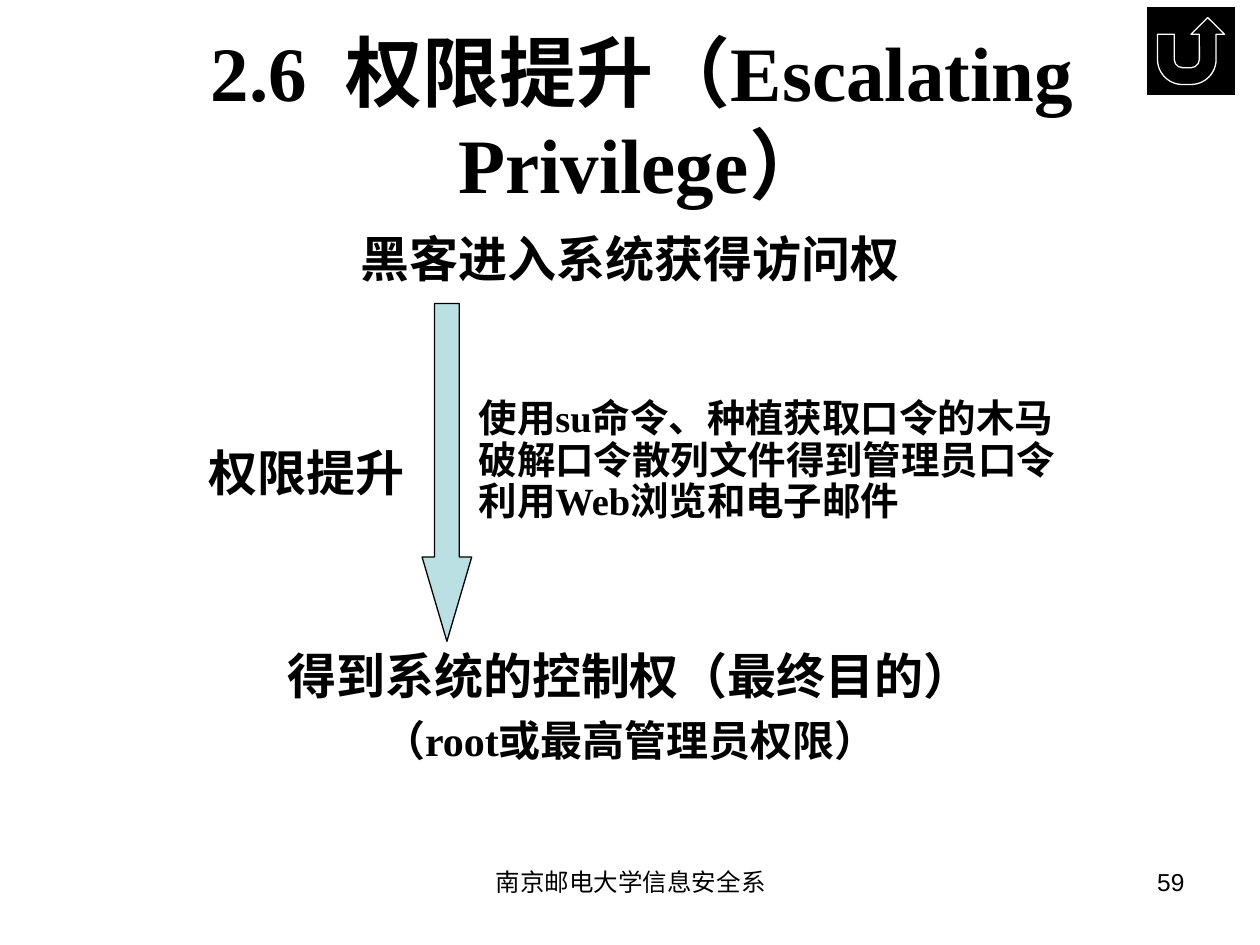
from pptx import Presentation
from pptx.dml.color import RGBColor
from pptx.enum.shapes import MSO_SHAPE
from pptx.enum.text import MSO_ANCHOR, MSO_AUTO_SIZE, PP_ALIGN
from pptx.util import Cm, Pt

LEFT, CENTER, RIGHT = PP_ALIGN.LEFT, PP_ALIGN.CENTER, PP_ALIGN.RIGHT
TOP, MIDDLE = MSO_ANCHOR.TOP, MSO_ANCHOR.MIDDLE
BLACK, WHITE, PALE_TEAL = "000000", "FFFFFF", "BBE0E3"
SERIF, SANS = "Times New Roman", "Arial"

# Boxes are left, top, width, height in cm
TITLE = "2.6  权限提升（Escalating Privilege）"
TITLE_BOX = (0.79, 0.76, 24.31, 3.18)
METHODS = "\v".join([
    "使用su命令、种植获取口令的木马",
    "破解口令散列文件得到管理员口令",
    "利用Web浏览和电子邮件",
])

HEADING = dict(name=SERIF, size=Pt(28), bold=True)
DETAIL = dict(HEADING, size=Pt(24))
METHOD = dict(HEADING, size=Pt(22))
FOOTER = dict(name=SANS, size=Pt(14), bold=False)

TEXTS = [
    # text, box, alignment, anchor, font
    ("黑客进入系统获得访问权", (1.27, 4.45, 22.86, 1.5), CENTER, MIDDLE, HEADING),
    ("权限提升", (3.96, 8.76, 4.6, 1.5), LEFT, MIDDLE, HEADING),
    (METHODS, (9.4, 7.72, 13.31, 3.18), LEFT, MIDDLE, METHOD),
    ("得到系统的控制权（最终目的）", (1.27, 12.85, 22.86, 1.5), CENTER, MIDDLE, HEADING),
    ("（root或最高管理员权限）", (1.27, 14.16, 22.86, 1.5), CENTER, MIDDLE, DETAIL),
    ("南京邮电大学信息安全系", (8.69, 17.35, 8.05, 1.32), CENTER, TOP, FOOTER),
    ("59", (18.21, 17.35, 5.92, 1.32), RIGHT, TOP, FOOTER),
]

SHAPES = [
    # preset, box, fill, line
    (MSO_SHAPE.ACTION_BUTTON_RETURN, (23.11, 0.13, 1.8, 1.8), BLACK, WHITE),
    (MSO_SHAPE.DOWN_ARROW, (8.51, 6.12, 1.0, 6.81), PALE_TEAL, BLACK),
]
ARROW_ADJUSTMENTS = (0.5, 1.7)


def color(hex_value):
    return RGBColor.from_string(hex_value)


def cm_box(box):
    return [Cm(v) for v in box]


def write(tf, text, align, anchor, font):
    tf.word_wrap = True
    tf.auto_size = MSO_AUTO_SIZE.NONE
    tf.vertical_anchor = anchor
    tf.text = text
    p = tf.paragraphs[0]
    p.alignment = align
    for r in p.runs:
        for key, value in font.items():
            setattr(r.font, key, value)
        r.font.color.rgb = color(BLACK)
    return p


def add_preset(slide, preset, box, fill, line):
    sp = slide.shapes.add_shape(preset, *cm_box(box))
    sp.shadow.inherit = False
    sp.fill.solid()
    sp.fill.fore_color.rgb = color(fill)
    sp.line.color.rgb = color(line)
    sp.line.width = Pt(0.75)
    if preset == MSO_SHAPE.DOWN_ARROW:
        for i, value in enumerate(ARROW_ADJUSTMENTS):
            sp.adjustments[i] = value


def main():
    prs = Presentation()
    prs.slide_width, prs.slide_height = Cm(25.4), Cm(19.05)
    s = prs.slides.add_slide(prs.slide_layouts[5])

    title = s.shapes.title
    title.left, title.top, title.width, title.height = cm_box(TITLE_BOX)
    write(title.text_frame, TITLE, CENTER, MIDDLE, dict(HEADING, size=Pt(44)))

    for preset in SHAPES:
        add_preset(s, *preset)
    for text, box, align, anchor, font in TEXTS:
        tf = s.shapes.add_textbox(*cm_box(box)).text_frame
        p = write(tf, text, align, anchor, font)
        if text == METHODS:
            p.line_spacing = 0.9

    prs.save("out.pptx")


if __name__ == "__main__":
    main()
